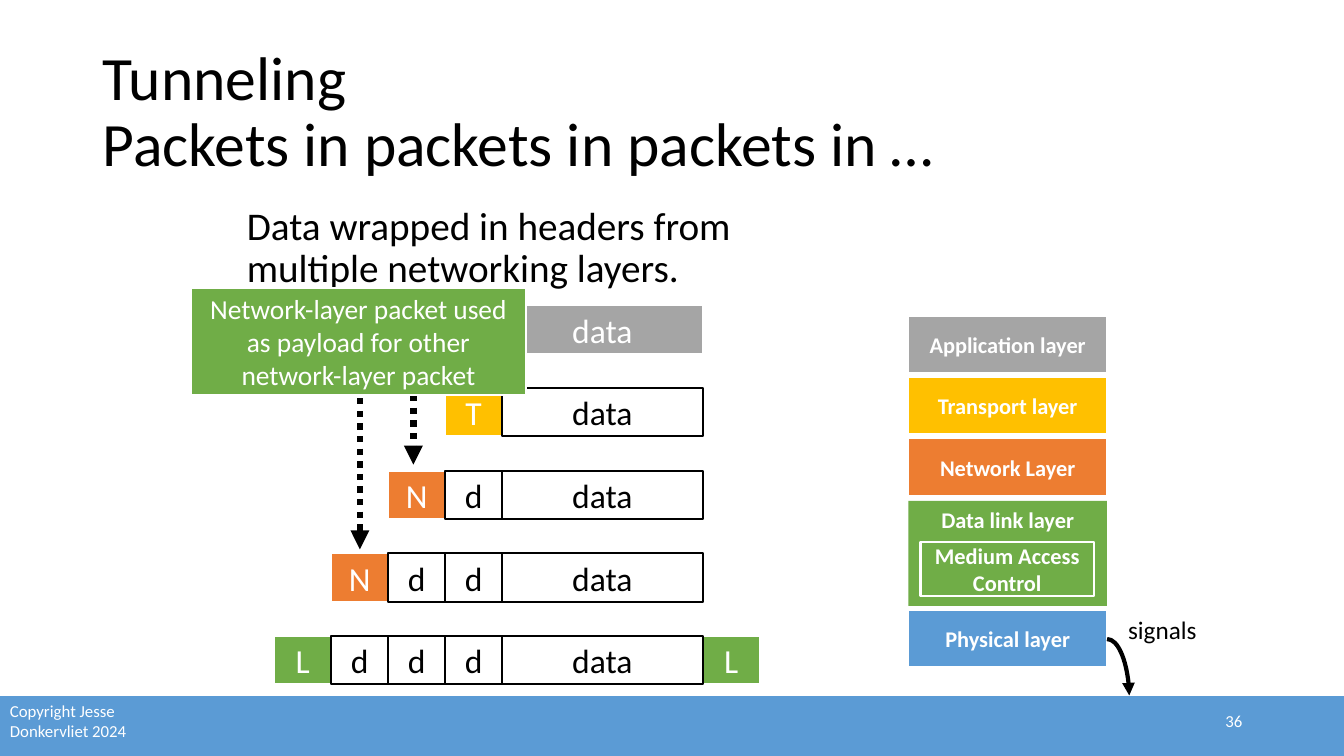
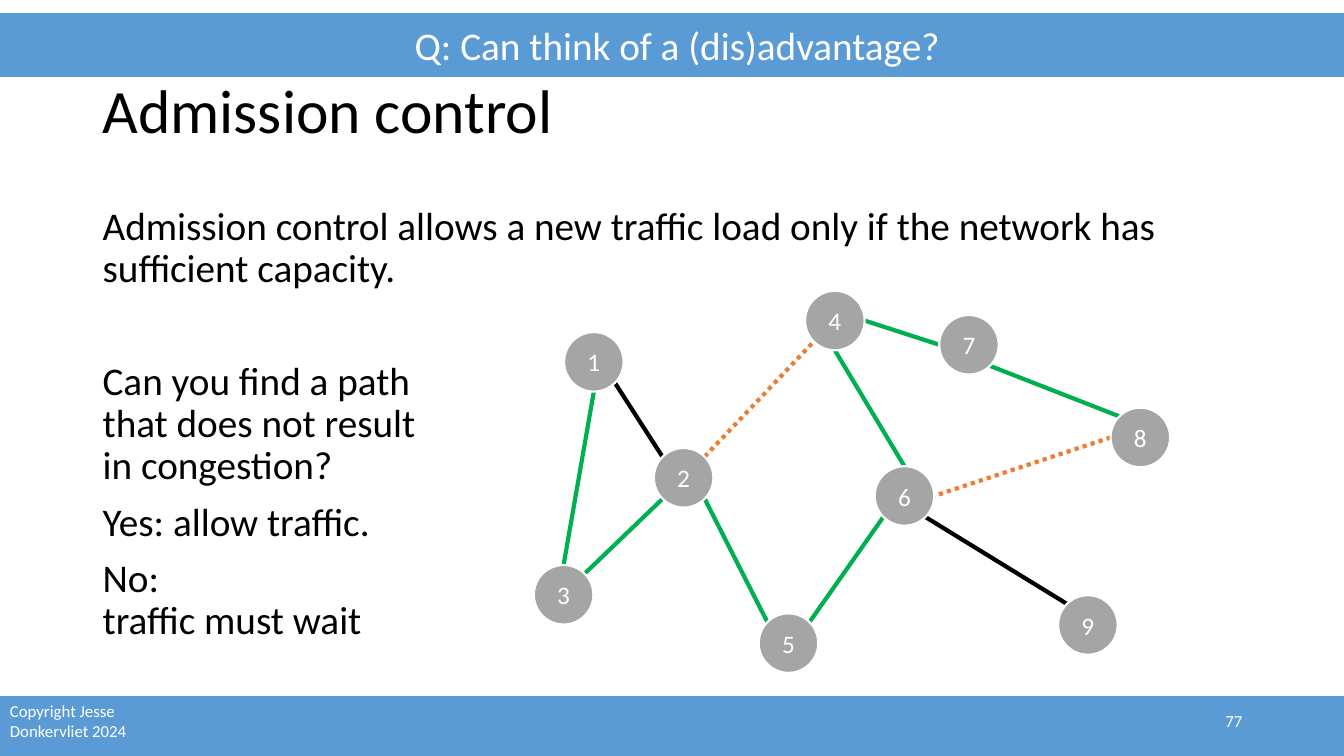
import lxml.etree
import pptx
import pptx.dml.color
import pptx.enum.dml
import pptx.enum.shapes
import pptx.enum.text
import pptx.oxml.ns
import pptx.util

Inches = pptx.util.Inches
Pt = pptx.util.Pt
color = pptx.dml.color.RGBColor.from_string
qn = pptx.oxml.ns.qn
RECTANGLE = pptx.enum.shapes.MSO_SHAPE.RECTANGLE
OVAL = pptx.enum.shapes.MSO_SHAPE.OVAL
STRAIGHT = pptx.enum.shapes.MSO_CONNECTOR.STRAIGHT
CURVE = pptx.enum.shapes.MSO_CONNECTOR.CURVE
DOTTED = pptx.enum.dml.MSO_LINE.ROUND_DOT
LEFT = pptx.enum.text.PP_ALIGN.LEFT
CENTER = pptx.enum.text.PP_ALIGN.CENTER
RIGHT = pptx.enum.text.PP_ALIGN.RIGHT
TOP = pptx.enum.text.MSO_ANCHOR.TOP
MIDDLE = pptx.enum.text.MSO_ANCHOR.MIDDLE

FONT = "Calibri"
BLACK = "000000"
WHITE = "FFFFFF"
BLUE = "5B9BD5"
GREEN = "70AD47"
ORANGE = "ED7D31"
YELLOW = "FFC000"
GRAY = "A5A5A5"
PATH_GREEN = "00B050"


def add_box(slide, box, texts, size, text_color=WHITE, kind=None, fill=None, outline=WHITE,
            align=CENTER, anchor=MIDDLE, bold=False, spacing=1.0, gaps=()):
    position = [Inches(value) for value in box]
    if kind is None:
        shape = slide.shapes.add_textbox(*position)
    else:
        shape = slide.shapes.add_shape(kind, *position)
        shape.shadow.inherit = False
        shape.fill.solid()
        shape.fill.fore_color.rgb = color(fill)
        if outline:
            shape.line.color.rgb = color(outline)
            shape.line.width = Pt(1.5)
        else:
            shape.line.fill.background()
    frame = shape.text_frame
    frame.word_wrap = True
    frame.vertical_anchor = anchor
    for index, text in enumerate(texts):
        paragraph = frame.add_paragraph() if index else frame.paragraphs[0]
        paragraph.text = text
        paragraph_format = {"alignment": align, "line_spacing": spacing}
        if index:
            paragraph_format["space_before"] = Pt(gaps[index - 1])
        for name, value in paragraph_format.items():
            setattr(paragraph, name, value)
        for run in paragraph.runs:
            for name, value in {"name": FONT, "size": Pt(size), "bold": bold}.items():
                setattr(run.font, name, value)
            run.font.color.rgb = color(text_color)


def add_line(slide, start, end, line_color=BLACK, width=3, dash=None, arrow=False, kind=STRAIGHT):
    points = [Inches(value) for value in (*start, *end)]
    connector = slide.shapes.add_connector(kind, *points)
    connector.line.color.rgb = color(line_color)
    connector.line.width = Pt(width)
    if dash:
        connector.line.dash_style = dash
    if arrow:
        lxml.etree.SubElement(connector.get_or_add_ln(), qn("a:tailEnd"), type="triangle")
    properties = connector.element.find(qn("p:spPr"))
    if kind == CURVE:
        properties.find(qn("a:prstGeom")).set("prst", "curvedConnector2")
    lxml.etree.SubElement(properties, qn("a:effectLst"))


presentation = pptx.Presentation()
presentation.slide_width = Inches(13.33)
presentation.slide_height = Inches(7.5)

slides = []
for title, number in [
    ("Tunneling\nPackets in packets in packets in …", "36"),
    ("Admission control", "77"),
]:
    slide = presentation.slides.add_slide(presentation.slide_layouts[6])
    add_box(slide, (-0.31, 6.89, 13.95, 0.81), [], 12, kind=RECTANGLE, fill=BLUE)
    add_box(slide, (0, 6.9, 1.47, 0.5), ["Copyright Jesse Donkervliet 2024"], 12, align=LEFT)
    add_box(slide, (0.92, 0.4, 11.5, 1.45), [title], 44, BLACK, align=LEFT, spacing=0.9)
    add_box(slide, (9.42, 6.95, 3, 0.4), [number], 12, align=RIGHT)
    slides.append(slide)
tunneling, admission = slides

add_box(tunneling, (2.35, 2, 5.35, 4.76),
        ["Data wrapped in headers from multiple networking layers."],
        28, BLACK, align=LEFT, anchor=TOP, spacing=0.9)

layer_left, layer_width, layer_height = 9.01, 1.97, 0.57
for text, top, fill in [
    ("Application layer", 3.13, GRAY),
    ("Transport layer", 3.74, YELLOW),
    ("Network Layer", 4.35, ORANGE),
    ("Physical layer", 6.05, BLUE),
]:
    add_box(tunneling, (layer_left, top, layer_width, layer_height), [text], 16,
            kind=RECTANGLE, fill=fill, bold=True)
add_box(tunneling, (layer_left, 4.97, layer_width, 1.04), ["Data link layer"], 16,
        kind=RECTANGLE, fill=GREEN, outline=None, anchor=TOP, bold=True)
add_box(tunneling, (9.13, 5.38, 1.72, 0.53), ["Medium Access Control"], 16,
        kind=RECTANGLE, fill=GREEN, bold=True)
add_line(tunneling, (10.98, 6.34), (11.2, 6.9), arrow=True, kind=CURVE)
add_box(tunneling, (11.09, 6.05, 1.01, 0.4), ["signals"], 18, BLACK, align=LEFT, anchor=TOP)

header_fills = {"T": YELLOW, "N": ORANGE, "L": GREEN}
data_left, data_width, header_width = 4.98, 1.99, 0.565
for row, headers in enumerate(["", "T", "Nd", "Ndd", "Lddd"]):
    first_left = data_left - header_width * len(headers)
    cells = [(label, first_left + header_width * column, header_width)
             for column, label in enumerate(headers)]
    if headers.startswith("L"):
        cells.insert(0, ("L", data_left + data_width, header_width))
    cells.append(("data", data_left, data_width))
    for label, left, width in cells:
        fill = header_fills.get(label, WHITE if headers else GRAY)
        ink = BLACK if fill == WHITE else WHITE
        add_box(tunneling, (left, 3.03 + 0.82 * row, width, 0.48), [label], 24, ink,
                kind=RECTANGLE, fill=fill, outline=ink)

for left, top, bottom in [(3.57, 3.95, 5.45), (4.1, 3.92, 4.61)]:
    add_line(tunneling, (left, top), (left, bottom), width=4.5, dash=DOTTED, arrow=True)
add_box(tunneling, (1.89, 2.86, 3.33, 1.06),
        ["Network-layer packet used as payload for other network-layer packet"],
        19.6, kind=RECTANGLE, fill=GREEN)

add_box(admission, (0.92, 2, 11.5, 4.76), [
    "Admission control allows a new traffic load only if the network has sufficient capacity.",
    "Can you find a path\nthat does not result\nin congestion?",
    "Yes: allow traffic.",
    "No:\ntraffic must wait",
], 28, BLACK, align=LEFT, anchor=TOP, spacing=0.9, gaps=(50, 10, 10))

radius = 0.295
diagonal = 0.21
directions = {
    "N": (0, -radius), "S": (0, radius), "W": (-radius, 0), "E": (radius, 0),
    "NW": (-diagonal, -diagonal), "NE": (diagonal, -diagonal),
    "SW": (-diagonal, diagonal), "SE": (diagonal, diagonal),
}
node_centers = {
    1: (5.89, 3.59), 2: (6.78, 4.74), 3: (5.59, 5.9), 4: (8.28, 3.18), 5: (7.82, 6.38),
    6: (8.97, 4.92), 7: (9.61, 3.42), 8: (11.31, 4.34), 9: (10.79, 6.2),
}
for start, start_side, end, end_side, line_color, dash in [
    (1, "SE", 2, "NW", BLACK, None),
    (2, "NE", 4, "SW", ORANGE, DOTTED),
    (4, "E", 7, "W", PATH_GREEN, None),
    (4, "S", 6, "N", PATH_GREEN, None),
    (5, "NE", 6, "SW", PATH_GREEN, None),
    (2, "SW", 3, "NE", PATH_GREEN, None),
    (8, "W", 6, "E", ORANGE, DOTTED),
    (9, "NW", 6, "SE", BLACK, None),
    (5, "NW", 2, "SE", PATH_GREEN, None),
    (7, "SE", 8, "NW", PATH_GREEN, None),
    (1, "S", 3, "N", PATH_GREEN, None),
]:
    ends = [[center + offset for center, offset in zip(node_centers[node], directions[side])]
            for node, side in ((start, start_side), (end, end_side))]
    add_line(admission, *ends, line_color=line_color, dash=dash)
for node, (x, y) in node_centers.items():
    add_box(admission, (x - radius, y - radius, 2 * radius, 2 * radius), [str(node)], 18,
            kind=OVAL, fill=GRAY)

add_box(admission, (-0.33, 0.12, 14.09, 0.66), ["Q: Can think of a (dis)advantage?"], 28,
        kind=RECTANGLE, fill=BLUE)

presentation.save("out.pptx")
